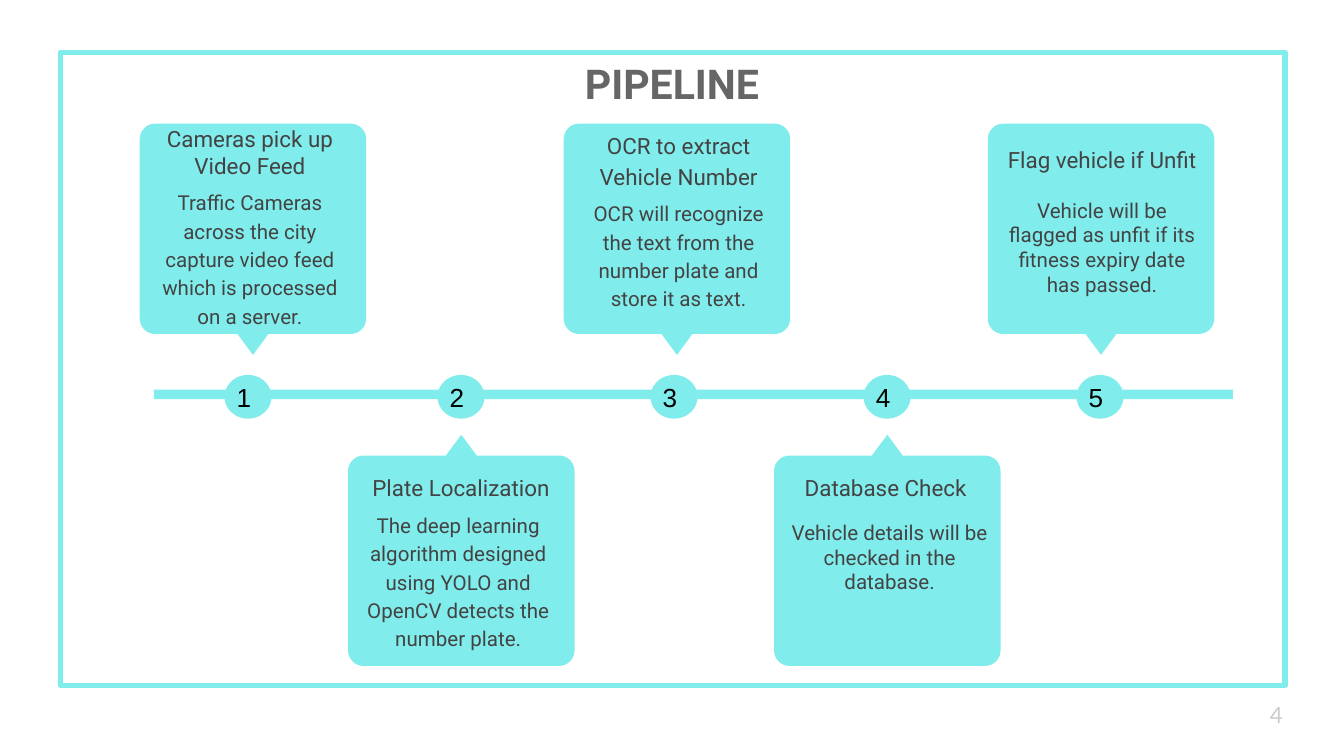
from dataclasses import dataclass
from math import cos, radians, sin

from pptx import Presentation
from pptx.dml.color import RGBColor
from pptx.enum.shapes import MSO_SHAPE as Preset
from pptx.enum.text import MSO_ANCHOR as Anchor, PP_ALIGN as Align
from pptx.util import Pt

EMU_PER_PX = 4572  # 200 px to the inch
COLORS = {
    "aqua": "81ECEC",
    "title": "666666",
    "text": "434343",
    "number": "000000",
    "page": "CCCCCC",
}
INSET = 20
BUBBLE_WIDTH, BUBBLE_HEIGHT = 337, 313
CORNER_RADIUS, TAIL_HALF_WIDTH, TAIL_HEIGHT = 23, 23, 31
UPPER_TOP, LOWER_TOP = 184, 678
MARKER_LEFT, MARKER_TOP, MARKER_STEP = 334, 558, 317
MARKER_WIDTH, MARKER_HEIGHT = 70, 65


@dataclass(frozen=True)
class Box:
    left: int
    top: int
    width: int
    height: int

    def emu(self) -> tuple[int, ...]:
        return tuple(px(n) for n in (self.left, self.top, self.width, self.height))


@dataclass(frozen=True)
class TextStyle:
    size: int
    color: str
    font: str = "Roboto"
    bold: bool = False
    align: Align = Align.CENTER
    anchor: Anchor = Anchor.MIDDLE
    spacing: float = 1.0


@dataclass(frozen=True)
class Step:
    bubble_left: int
    above: bool
    heading: str
    heading_box: Box
    heading_spacing: float
    body: str
    body_box: Box
    body_spacing: float


STEPS = [
    Step(208, True, "Cameras pick up Video Feed", Box(204, 178, 336, 96), 1.0,
         "Traffic Cameras across the city capture video feed which is processed on a server.",
         Box(204, 258, 336, 220), 1.15),
    Step(518, False, "Plate Localization", Box(518, 680, 336, 86), 1.15,
         "The deep learning algorithm designed using YOLO and OpenCV detects the number plate.",
         Box(514, 738, 336, 236), 1.15),
    Step(839, True, "OCR to extract Vehicle Number", Box(842, 188, 336, 96), 1.15,
         "OCR will recognize the text from the number plate and store it as text.",
         Box(842, 274, 336, 220), 1.15),
    Step(1152, False, "Database Check", Box(1150, 674, 336, 96), 1.15,
         "Vehicle details will be checked in the database.",
         Box(1156, 754, 336, 236), 1.0),
    Step(1470, True, "Flag vehicle if Unfit", Box(1478, 186, 324, 96), 1.15,
         "Vehicle will be flagged as unfit if its fitness expiry date has passed.",
         Box(1478, 274, 324, 220), 1.0),
]


def px(length: float) -> int:
    return round(length * EMU_PER_PX)


def color(name: str) -> RGBColor:
    return RGBColor.from_string(COLORS[name])


def fill_aqua(shape) -> None:
    shape.shadow.inherit = False
    shape.fill.solid()
    shape.fill.fore_color.rgb = color("aqua")
    shape.line.fill.background()


def write(frame, text: str, style: TextStyle) -> None:
    frame.vertical_anchor = style.anchor
    paragraph = frame.paragraphs[0]
    paragraph.alignment = style.align
    paragraph.line_spacing = style.spacing
    run = paragraph.add_run()
    run.text = text
    run.font.name = style.font
    run.font.size = Pt(style.size)
    run.font.bold = style.bold
    run.font.color.rgb = color(style.color)


def add_text(slide, box: Box, text: str, style: TextStyle) -> None:
    frame = slide.shapes.add_textbox(*box.emu()).text_frame
    frame.word_wrap = True
    frame.margin_left = frame.margin_right = px(INSET)
    frame.margin_top = frame.margin_bottom = px(INSET)
    write(frame, text, style)


def add_frame(slide) -> None:
    frame = slide.shapes.add_shape(Preset.RECTANGLE, *Box(90, 78, 1822, 942).emu())
    frame.shadow.inherit = False
    frame.fill.background()
    frame.line.color.rgb = color("aqua")
    frame.line.width = Pt(3)


def bubble_points(left: int, above: bool) -> list[tuple[int, int]]:
    """Outline of a rounded bubble whose tail points at the timeline."""
    half_width, half_height = BUBBLE_WIDTH / 2, BUBBLE_HEIGHT / 2
    center_x = left + half_width
    center_y = (UPPER_TOP if above else LOWER_TOP) + half_height
    direction = 1 if above else -1
    offsets = [(-TAIL_HALF_WIDTH, half_height), (0, half_height + TAIL_HEIGHT),
               (TAIL_HALF_WIDTH, half_height)]
    corners = [(1, 1, 90), (1, -1, 0), (-1, -1, -90), (-1, 1, -180)]
    for side_x, side_y, start in corners:
        for turn in range(0, 91, 10):
            angle = radians(start - turn)
            offsets.append((
                side_x * (half_width - CORNER_RADIUS) + CORNER_RADIUS * cos(angle),
                side_y * (half_height - CORNER_RADIUS) + CORNER_RADIUS * sin(angle),
            ))
    return [(px(center_x + x), px(center_y + direction * y)) for x, y in offsets]


def add_bubble(slide, step: Step) -> None:
    start, *others = bubble_points(step.bubble_left, step.above)
    builder = slide.shapes.build_freeform(*start)
    builder.add_line_segments(others)
    fill_aqua(builder.convert_to_shape())


def add_marker(slide, index: int) -> None:
    box = Box(MARKER_LEFT + index * MARKER_STEP, MARKER_TOP, MARKER_WIDTH, MARKER_HEIGHT)
    marker = slide.shapes.add_shape(Preset.OVAL, *box.emu())
    fill_aqua(marker)
    frame = marker.text_frame
    frame.word_wrap = False
    frame.margin_left = frame.margin_top = frame.margin_bottom = 0
    frame.margin_right = px(12)
    write(frame, str(index + 1), TextStyle(14, "number", "Arial"))


def add_step_text(slide, step: Step) -> None:
    add_text(slide, step.body_box, step.body,
             TextStyle(11, "text", anchor=Anchor.TOP, spacing=step.body_spacing))
    add_text(slide, step.heading_box, step.heading,
             TextStyle(12, "text", spacing=step.heading_spacing))


def main() -> None:
    presentation = Presentation()
    presentation.slide_width, presentation.slide_height = px(2000), px(1125)
    slide = presentation.slides.add_slide(presentation.slide_layouts[6])

    add_frame(slide)
    for step in STEPS:
        add_bubble(slide, step)
    timeline = slide.shapes.add_shape(Preset.RECTANGLE, *Box(229, 580, 1606, 14).emu())
    fill_aqua(timeline)
    for index in range(len(STEPS)):
        add_marker(slide, index)

    add_text(slide, Box(0, 84, 2000, 96), "PIPELINE",
             TextStyle(22, "title", bold=True, anchor=Anchor.BOTTOM))
    for step in STEPS:
        add_step_text(slide, step)
    add_text(slide, Box(1870, 1020, 120, 86), "4",
             TextStyle(12, "page", "Lato", align=Align.LEFT))
    presentation.save("out.pptx")


if __name__ == "__main__":
    main()
